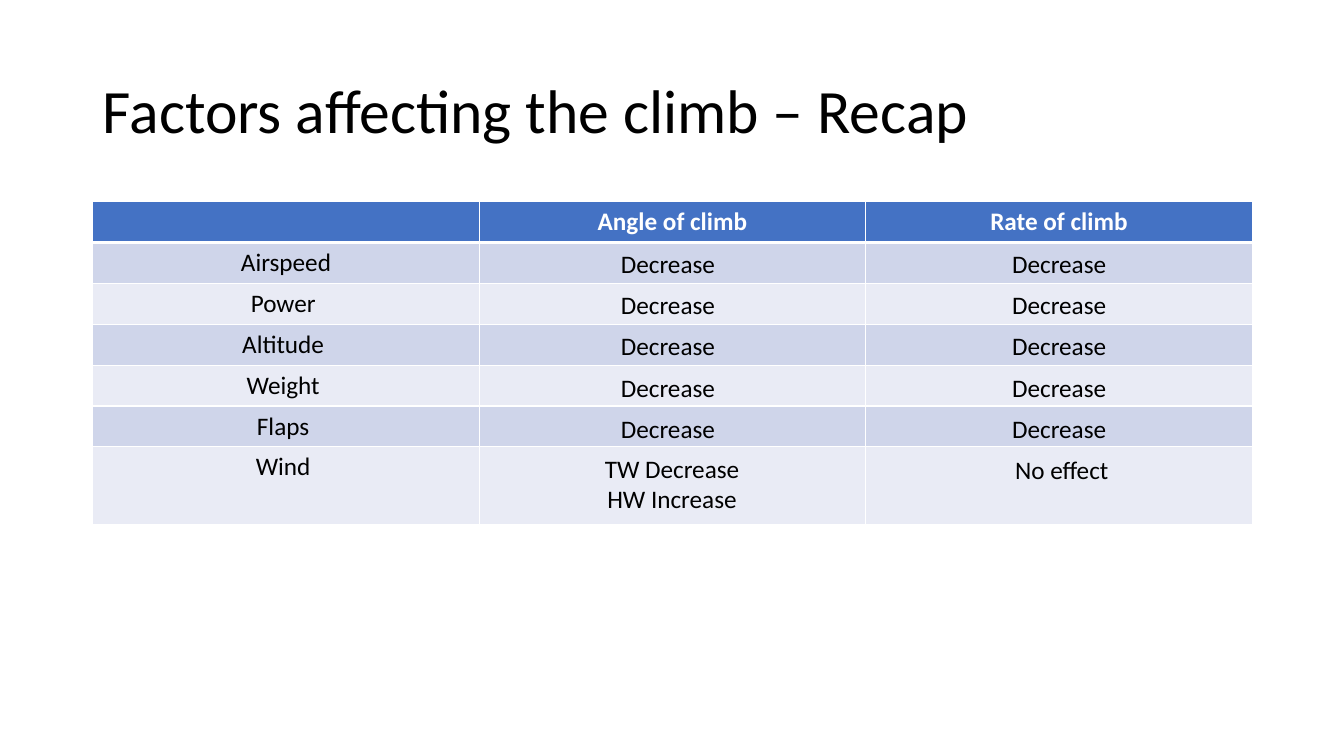
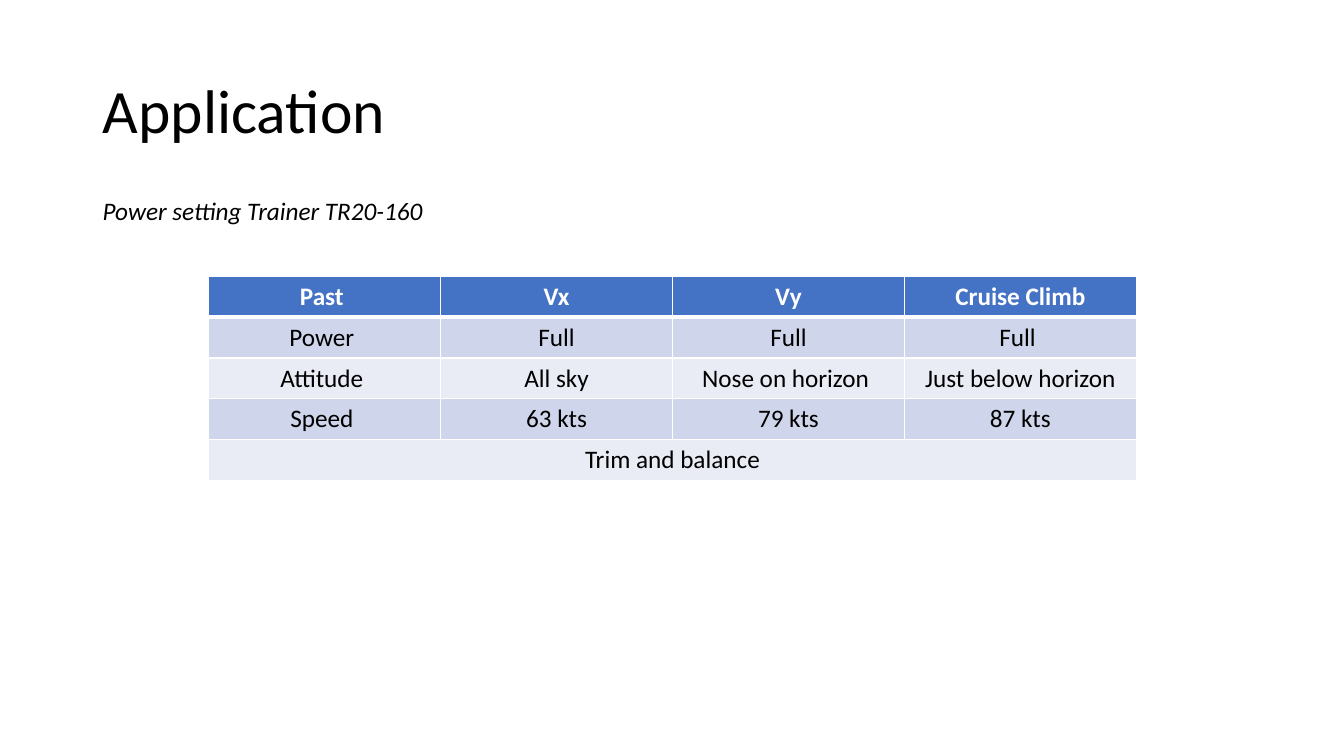
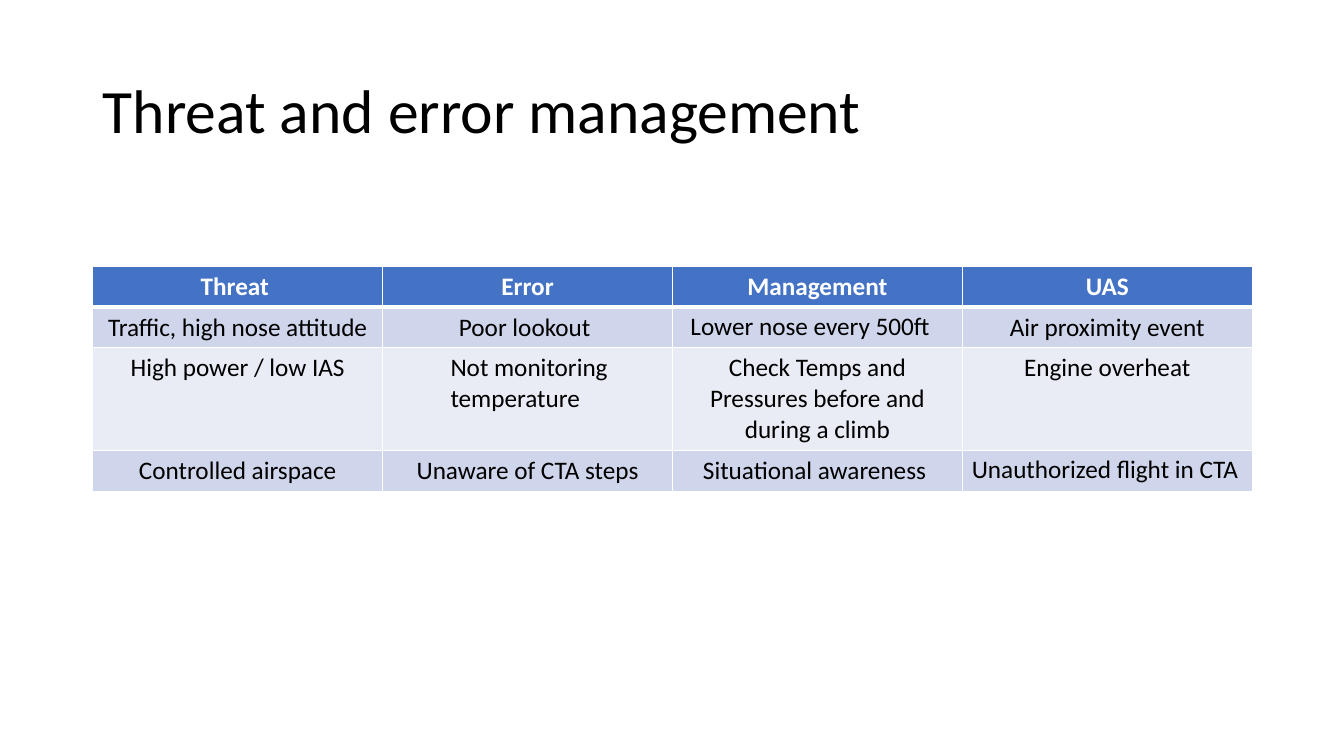
from dataclasses import dataclass

from lxml import etree
from pptx import Presentation
from pptx.dml.color import RGBColor
from pptx.enum.text import MSO_ANCHOR as Anchor, MSO_AUTO_SIZE as AutoSize, PP_ALIGN as Align
from pptx.oxml.ns import qn
from pptx.util import Inches, Pt


@dataclass(frozen=True)
class Theme:
    font: str = "Calibri"
    title_size: int = 44
    body_size: int = 18
    ink: str = "000000"
    paper: str = "FFFFFF"
    header: str = "4472C4"
    bands: tuple = ("CFD5EA", "E9EBF5")
    thin: int = 1
    thick: int = 3
    left: float = 0.92
    width: float = 11.5
    row: float = 0.4
    line: float = 0.3


class Builder:
    """Holds the theme, the deck and the slide being filled."""

    def __init__(self, theme):
        self.theme = theme
        self.deck = Presentation()
        self.deck.slide_width, self.deck.slide_height = Inches(13.33), Inches(7.5)
        self.page = None

    def add_text(self, para, text, size=None, color=None, bold=False, italic=False):
        span = para.add_run()
        span.text = text
        font = span.font
        font.name = self.theme.font
        font.size = Pt(size or self.theme.body_size)
        font.bold, font.italic = bold, italic
        font.color.rgb = RGBColor.from_string(color or self.theme.ink)

    def slide(self, title):
        theme = self.theme
        self.page = self.deck.slides.add_slide(self.deck.slide_layouts[5])
        box = self.page.shapes.title
        box.left, box.top = Inches(theme.left), Inches(0.4)
        box.width, box.height = Inches(theme.width), Inches(1.45)
        frame = box.text_frame
        frame.word_wrap = True
        frame.auto_size = AutoSize.NONE
        frame.vertical_anchor = Anchor.MIDDLE
        para = frame.paragraphs[0]
        para.alignment, para.line_spacing = Align.LEFT, 0.9
        self.add_text(para, title, theme.title_size)

    def note(self, left, top, width, *lines, align=Align.LEFT, italic=False):
        """Places an unwrapped text box, one paragraph a line."""
        height = 0.1 + self.theme.line * len(lines)
        box = self.page.shapes.add_textbox(
            Inches(left), Inches(top), Inches(width), Inches(height))
        frame = box.text_frame
        frame.word_wrap = False
        frame.auto_size = AutoSize.SHAPE_TO_FIT_TEXT
        for index, line in enumerate(lines):
            para = frame.add_paragraph() if index else frame.paragraphs[0]
            para.alignment = align
            self.add_text(para, line, italic=italic)

    def borders(self, cell, bottom):
        props = cell._tc.get_or_add_tcPr()
        for side in "LRTB":
            points = bottom if side == "B" else self.theme.thin
            line = etree.SubElement(props, qn(f"a:ln{side}"), w=str(Pt(points)))
            fill = etree.SubElement(line, qn("a:solidFill"))
            etree.SubElement(fill, qn("a:srgbClr"), val=self.theme.paper)

    def table(self, left, top, width, rows, heights=None):
        """Draws a banded table; a row with a single text spans all columns."""
        theme = self.theme
        columns = len(rows[0])
        heights = heights or [theme.row] * len(rows)
        grid = self.page.shapes.add_table(
            len(rows), columns, Inches(left), Inches(top),
            Inches(width), Inches(sum(heights))).table
        grid.horz_banding = False
        for column in grid.columns:
            column.width = Inches(width / columns)
        for r, texts in enumerate(rows):
            grid.rows[r].height = Inches(heights[r])
            head = r == 0
            fill = theme.header if head else theme.bands[(r - 1) % 2]
            for c in range(columns):
                cell = grid.cell(r, c)
                self.borders(cell, theme.thick if head else theme.thin)
                cell.fill.solid()
                cell.fill.fore_color.rgb = RGBColor.from_string(fill)
                if c < len(texts) and texts[c]:
                    para = cell.text_frame.paragraphs[0]
                    para.alignment = Align.CENTER
                    self.add_text(para, texts[c], bold=head,
                                  color=theme.paper if head else theme.ink)
            if len(texts) == 1:
                grid.cell(r, 0).merge(grid.cell(r, columns - 1))


def climb_factors(show):
    show.slide("Factors affecting the climb – Recap")
    factors = ["Airspeed", "Power ", "Altitude ", "Weight ", "Flaps ", "Wind "]
    rows = [["", "Angle of climb", "Rate of climb"]]
    rows += [[factor, "", ""] for factor in factors]
    show.table(show.theme.left, 2, show.theme.width, rows,
               [show.theme.row] * len(factors) + [0.77])
    # Effects on angle and rate
    for left in (6.06, 9.94):
        for index in range(5):
            show.note(left, 2.41 + 0.41 * index, 1.2, "Decrease")
    show.note(9.97, 4.46, 1.14, "No effect")
    show.note(5.89, 4.45, 1.55, "TW Decrease", "HW Increase", align=Align.CENTER)


def application(show):
    show.slide("Application")
    show.table(2.07, 2.74, 9.2, [
        ["Past ", "Vx", "Vy", "Cruise Climb"],
        ["Power ", "Full", "Full", "Full "],
        ["Attitude ", "All sky", "Nose on horizon ", "Just below horizon"],
        ["Speed ", "63 kts", "79 kts", "87 kts"],
        ["Trim and balance"],
    ])
    show.note(show.theme.left, 1.89, 3.49, "Power setting Trainer TR20-160", italic=True)


def threat_management(show):
    show.slide("Threat and error management")
    row = show.theme.row
    show.table(show.theme.left, 2.64, show.theme.width, [
        ["Threat ", "Error", "Management", "UAS"],
        ["Traffic, high nose attitude", "Poor lookout ", "", "Air proximity event"],
        ["High power / low IAS", "",
         "Check Temps and Pressures before and during a climb", "Engine overheat"],
        ["Controlled airspace", "Unaware of CTA steps", "Situational awareness ", ""],
    ], [row, row, 1.01, row])
    # Answers laid over the open cells
    show.note(6.75, 3.03, 2.67, "Lower nose every 500ft")
    show.note(4.37, 3.44, 1.84, "Not monitoring", "temperature")
    show.note(9.54, 4.45, 2.88, "Unauthorized flight in CTA")


def main():
    show = Builder(Theme())
    climb_factors(show)
    application(show)
    threat_management(show)
    show.deck.save("out.pptx")


if __name__ == "__main__":
    main()
